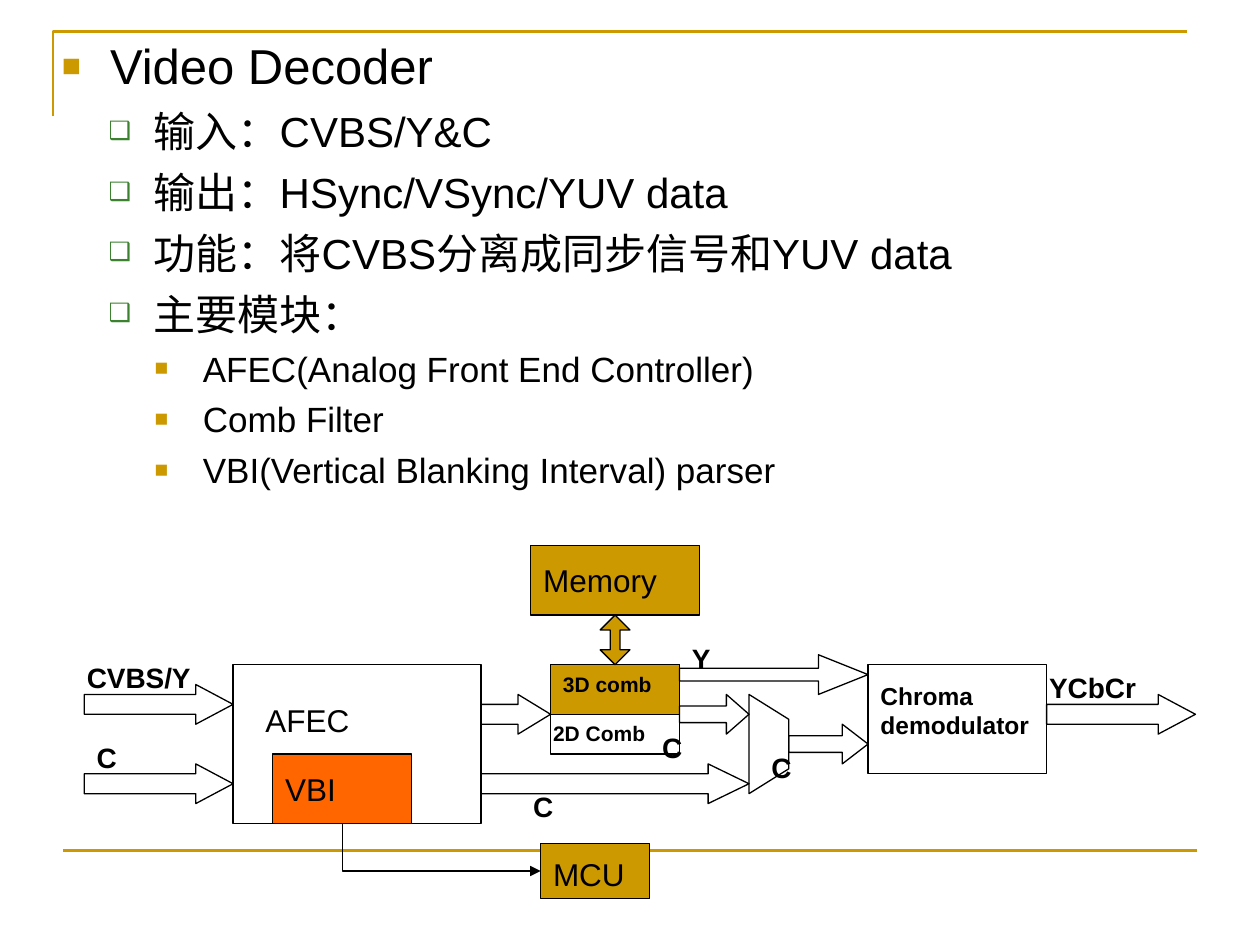
from lxml import etree
from pptx import Presentation
from pptx import util as u
from pptx.dml.color import RGBColor
from pptx.enum import shapes, text
from pptx.oxml.ns import qn

GOLD, GREEN, ORANGE, BLACK = "CC9900", "3B812F", "FF6600", "000000"
FONT = "Arial"

# level: (text size pt, space before pt, left margin cm, hanging cm, bullet, colour, bullet %)
LEVELS = [
    (28, 7, 0.97, 0.97, "■", GOLD, 65),
    (24, 6, 1.85, 0.91, "❑", GREEN, 60),
    (20, 5, 2.84, 0.97, "■", GOLD, 65),
]
OUTLINE = [
    (0, "Video Decoder"),
    (1, "输入：CVBS/Y&C"),
    (1, "输出：HSync/VSync/YUV data"),
    (1, "功能：将CVBS分离成同步信号和YUV data"),
    (1, "主要模块："),
    (2, "AFEC(Analog Front End Controller)"),
    (2, "Comb Filter"),
    (2, "VBI(Vertical Blanking Interval) parser"),
]

# name: (left, top, width, height in cm, fill, text, size pt, bold, top inset cm)
BOXES = {
    "afec": (4.7, 13.4, 5, 3.2, None, "", 18, False, 0),
    "comb": (11.1, 13.4, 2.6, 1.8, None, "", 12, True, 0),
    "chroma": (17.5, 13.4, 3.6, 2.2, None, "Chroma demodulator", 14, True, 0.33),
    "vbi": (5.5, 15.2, 2.8, 1.4, ORANGE, "VBI", 18, False, 0.33),
    "memory": (10.7, 11, 3.4, 1.4, GOLD, "Memory", 18, False, 0.31),
    "comb_3d": (11.1, 13.4, 2.6, 1, GOLD, "3D comb", 12, True, 0.13),
    "mcu": (10.9, 17, 2.2, 1.12, GOLD, "MCU", 18, False, 0.23),
}

# left, top, width in cm, shaft thickness, head length
ARROW_H = 0.8
ARROWS = [
    (1.7, 13.8, 3, 0.5, 0.94),
    (1.7, 15.4, 3, 0.5, 0.94),
    (9.7, 14, 1.4, 0.5, 0.82),
    (9.7, 15.4, 5.4, 0.5, 1.03),
    (13.7, 13.2, 3.8, 0.32, 1.25),
    (13.7, 14, 1.4, 0.42, 0.57),
    (15.9, 14.6, 1.6, 0.42, 0.65),
    (21.1, 14, 3, 0.5, 0.94),
]
MEMORY_ARROW = (12.1, 12.4, 0.6, 1)
MUX = [(15.1, 16), (15.9, 15.5), (15.9, 14.5), (15.1, 14)]
CORNER = [(1.07, 2.34), (1.07, 0.63), (23.93, 0.63)]
FOOT_RULE = (1.27, 17.15, 24.13, 17.15)

# text, left, top, width, height in cm, size pt, bold
LABELS = [
    ("AFEC", 5.1, 14, 3.8, 1.02, 18, False),
    ("2D Comb", 10.9, 14.4, 2.6, 0.76, 12, True),
] + [
    (name, left, top, 2.8, 0.94, 16, True)
    for name, left, top in [
        ("CVBS/Y", 1.5, 13.2), ("C", 1.7, 14.8), ("Y", 13.7, 12.8), ("C", 13.1, 14.6),
        ("C", 10.5, 15.8), ("C", 15.3, 15), ("YCbCr", 20.9, 13.4),
    ]
]


def rgb(value):
    return RGBColor.from_string(value)


def cms(*values):
    return [u.Cm(v) for v in values]


def add_run(p, content, size, bold=False):
    r = p.add_run()
    r.text = content
    r.font.name, r.font.size, r.font.bold = FONT, u.Pt(size), bold
    r.font.color.rgb = rgb(BLACK)


def paint(sp, fill=None, line=BLACK, width=0.75):
    sp.shadow.inherit = False
    if fill:
        sp.fill.solid()
        sp.fill.fore_color.rgb = rgb(fill)
    else:
        sp.fill.background()
    sp.line.color.rgb = rgb(line)
    sp.line.width = u.Pt(width)


def add_shape(s, kind, place, fill=None):
    sp = s.shapes.add_shape(kind, *cms(*place))
    paint(sp, fill)
    return sp


def add_path(s, points, closed, **style):
    start, *rest = [cms(*point) for point in points]
    builder = s.shapes.build_freeform(*start)
    builder.add_line_segments(rest, close=closed)
    paint(builder.convert_to_shape(), **style)


def add_line(s, kind, ends, color, width):
    c = s.shapes.add_connector(kind, *cms(*ends))
    c.line.color.rgb = rgb(color)
    c.line.width = u.Pt(width)
    etree.SubElement(c._element.spPr, qn("a:effectLst"))
    return c


def add_bullet(p, left, hanging, char, color, percent):
    pPr = p._p.get_or_add_pPr()
    pPr.set("marL", str(u.Cm(left)))
    pPr.set("indent", str(-u.Cm(hanging)))
    clr = etree.SubElement(pPr, qn("a:buClr"))
    etree.SubElement(clr, qn("a:srgbClr"), val=color)
    etree.SubElement(pPr, qn("a:buSzPct"), val=str(percent * 1000))
    etree.SubElement(pPr, qn("a:buFont"), typeface=FONT)
    etree.SubElement(pPr, qn("a:buChar"), char=char)


def add_outline(s):
    tf = s.shapes.add_textbox(*cms(1, 0.6, 22.86, 9.8)).text_frame
    tf.word_wrap = True
    for i, (level, content) in enumerate(OUTLINE):
        size, before, *bullet = LEVELS[level]
        p = tf.add_paragraph() if i else tf.paragraphs[0]
        p.level = level
        add_bullet(p, *bullet)
        if i:
            p.space_before = u.Pt(before)
        add_run(p, content, size)


def add_box(s, left, top, width, height, fill, content, size, bold, inset):
    sp = add_shape(s, shapes.MSO_SHAPE.RECTANGLE, (left, top, width, height), fill)
    if content:
        tf = sp.text_frame
        tf.word_wrap = True
        tf.vertical_anchor = text.MSO_ANCHOR.TOP
        tf.margin_top = u.Cm(inset)
        p = tf.paragraphs[0]
        p.alignment = text.PP_ALIGN.LEFT
        add_run(p, content, size, bold)
    return sp


def link_vbi_to_mcu(s, vbi, mcu):
    """Elbow drawn from the MCU end, so its single bend lies below the VBI."""
    c = add_line(s, shapes.MSO_CONNECTOR.ELBOW, (10.9, 17.56, 6.9, 16.6), BLACK, 0.75)
    c.begin_connect(mcu, 1)
    c.end_connect(vbi, 2)
    c._element.spPr.find(qn("a:prstGeom")).set("prst", "bentConnector2")
    etree.SubElement(c.line._get_or_add_ln(), qn("a:headEnd"), type="triangle")


def main():
    prs = Presentation()
    prs.slide_width, prs.slide_height = cms(25.4, 19.05)
    s = prs.slides.add_slide(prs.slide_layouts[6])

    add_path(s, CORNER, False, line=GOLD, width=1.5)
    add_line(s, shapes.MSO_CONNECTOR.STRAIGHT, FOOT_RULE, GOLD, 1.5)
    add_outline(s)

    boxes = {name: add_box(s, *row) for name, row in BOXES.items()}
    add_path(s, MUX, True)
    for left, top, width, shaft, head in ARROWS:
        sp = add_shape(s, shapes.MSO_SHAPE.RIGHT_ARROW, (left, top, width, ARROW_H))
        sp.adjustments[0], sp.adjustments[1] = shaft, head
    sp = add_shape(s, shapes.MSO_SHAPE.UP_DOWN_ARROW, MEMORY_ARROW, GOLD)
    sp.adjustments[0], sp.adjustments[1] = 0.5, 0.33
    link_vbi_to_mcu(s, boxes["vbi"], boxes["mcu"])

    for content, left, top, width, height, size, bold in LABELS:
        tf = s.shapes.add_textbox(*cms(left, top, width, height)).text_frame
        tf.word_wrap = True
        add_run(tf.paragraphs[0], content, size, bold)

    prs.save("out.pptx")


if __name__ == "__main__":
    main()
